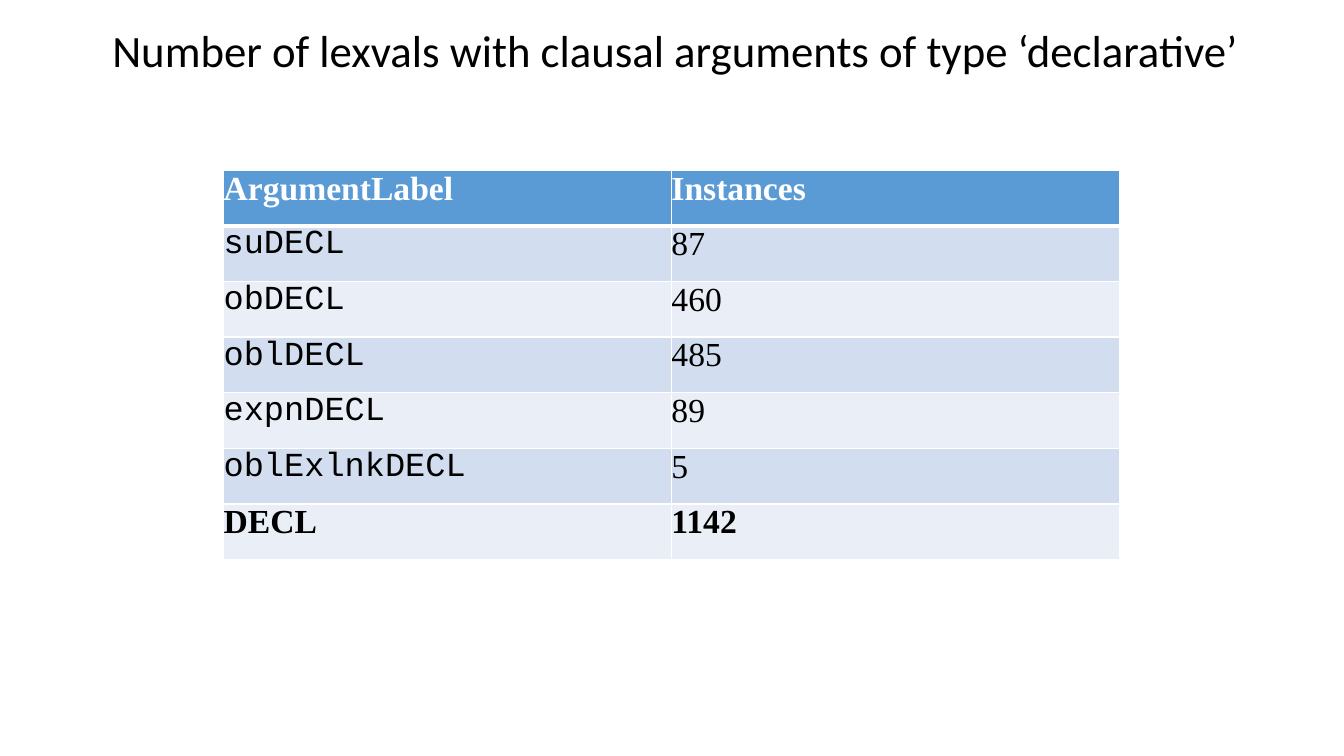
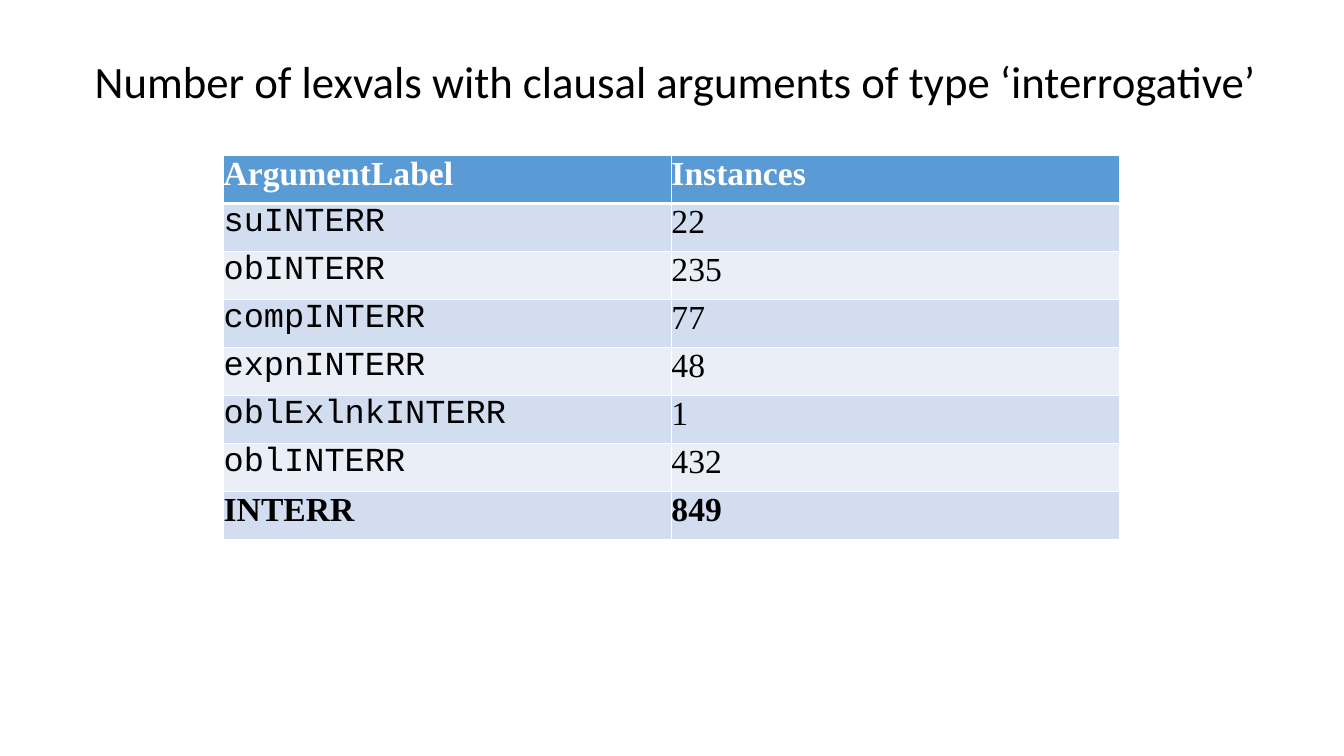
from lxml import etree
from pptx import Presentation
from pptx.dml.color import RGBColor
from pptx.enum.text import MSO_ANCHOR, PP_ALIGN
from pptx.oxml.ns import qn
from pptx.util import Pt

PX = 9525
CENTER, JUSTIFY = PP_ALIGN.CENTER, PP_ALIGN.JUSTIFY
MIDDLE = MSO_ANCHOR.MIDDLE
WHITE, BLACK, HEADER_BLUE = "FFFFFF", "000000", "5B9BD5"
BANDS = ("D2DEEF", "EAEFF7")
TITLE_FONT, TEXT_FONT, LABEL_FONT = "Calibri", "Times New Roman", "Courier New"
HEADER = ("ArgumentLabel", "Instances")

SLIDES = [
    {
        "title": "Number of lexvals with clausal arguments of type ‘declarative’",
        "title_box": (23, 21, 1241, 58),
        "table_box": (213, 162, 853, 371),
        "rows": [("suDECL", "87"), ("obDECL", "460"), ("oblDECL", "485"),
                 ("expnDECL", "89"), ("oblExlnkDECL", "5"), ("DECL", "1142")],
    },
    {
        "title": "Number of lexvals with clausal arguments of type ‘interrogative’",
        "title_box": (23, 44, 1241, 72),
        "table_box": (213, 148, 853, 366),
        "rows": [("suINTERR", "22"), ("obINTERR", "235"), ("compINTERR", "77"),
                 ("expnINTERR", "48"), ("oblExlnkINTERR", "1"),
                 ("oblINTERR", "432"), ("INTERR", "849")],
    },
]


def px(n):
    """Turn pixels into EMU."""
    return n * PX


def rgb(color):
    """Turn a hex string into a colour."""
    return RGBColor.from_string(color)


def write(tf, text, font=TEXT_FONT, size=24, color=BLACK, bold=False,
          align=JUSTIFY, before=0, spacing=1.0):
    """Write one formatted paragraph into a text frame."""
    p = tf.paragraphs[0]
    p.alignment, p.space_before, p.line_spacing = align, Pt(before), spacing
    r = p.add_run()
    r.text = text
    r.font.name, r.font.size, r.font.bold = font, Pt(size), bold
    r.font.color.rgb = rgb(color)


def set_borders(cell, **widths):
    """Draw white cell borders, one point wide unless a side says otherwise."""
    tc_pr = cell._tc.get_or_add_tcPr()
    for side in "LRTB":
        ln = etree.SubElement(tc_pr, qn(f"a:ln{side}"), w=str(Pt(widths.get(side, 1))))
        fill = etree.SubElement(ln, qn("a:solidFill"))
        etree.SubElement(fill, qn("a:srgbClr"), val=WHITE)


def add_title(s, text, box):
    """Add the centred slide title in its box."""
    tf = s.shapes.add_textbox(*map(px, box)).text_frame
    tf.word_wrap = True
    tf.vertical_anchor = MIDDLE
    write(tf, text, font=TITLE_FONT, size=32, align=CENTER, spacing=0.9)


def add_count_table(s, rows, box):
    """Add a banded table with a header, label rows and a bold total row."""
    x, y, w, h = map(px, box)
    lines = [HEADER, *rows]
    table = s.shapes.add_table(len(lines), len(HEADER), x, y, w, h).table
    for i, line in enumerate(lines):
        table.rows[i].height = h // len(lines)
        is_header, is_total = i == 0, i == len(lines) - 1
        for j, text in enumerate(line):
            cell = table.cell(i, j)
            cell.margin_left = cell.margin_right = 0
            cell.margin_top = cell.margin_bottom = 0
            set_borders(cell, B=3 if is_header else 1, T=3 if i == 1 else 1)
            cell.fill.solid()
            cell.fill.fore_color.rgb = rgb(HEADER_BLUE if is_header else BANDS[(i - 1) % 2])
            is_label = j == 0 and not (is_header or is_total)
            write(cell.text_frame, text, font=LABEL_FONT if is_label else TEXT_FONT,
                  color=WHITE if is_header else BLACK,
                  bold=is_header or is_total, before=3)


def main():
    """Build and save the presentation."""
    prs = Presentation()
    prs.slide_width, prs.slide_height = px(1280), px(720)
    for content in SLIDES:
        s = prs.slides.add_slide(prs.slide_layouts[6])
        add_title(s, content["title"], content["title_box"])
        add_count_table(s, content["rows"], content["table_box"])
    prs.save("out.pptx")


if __name__ == "__main__":
    main()
